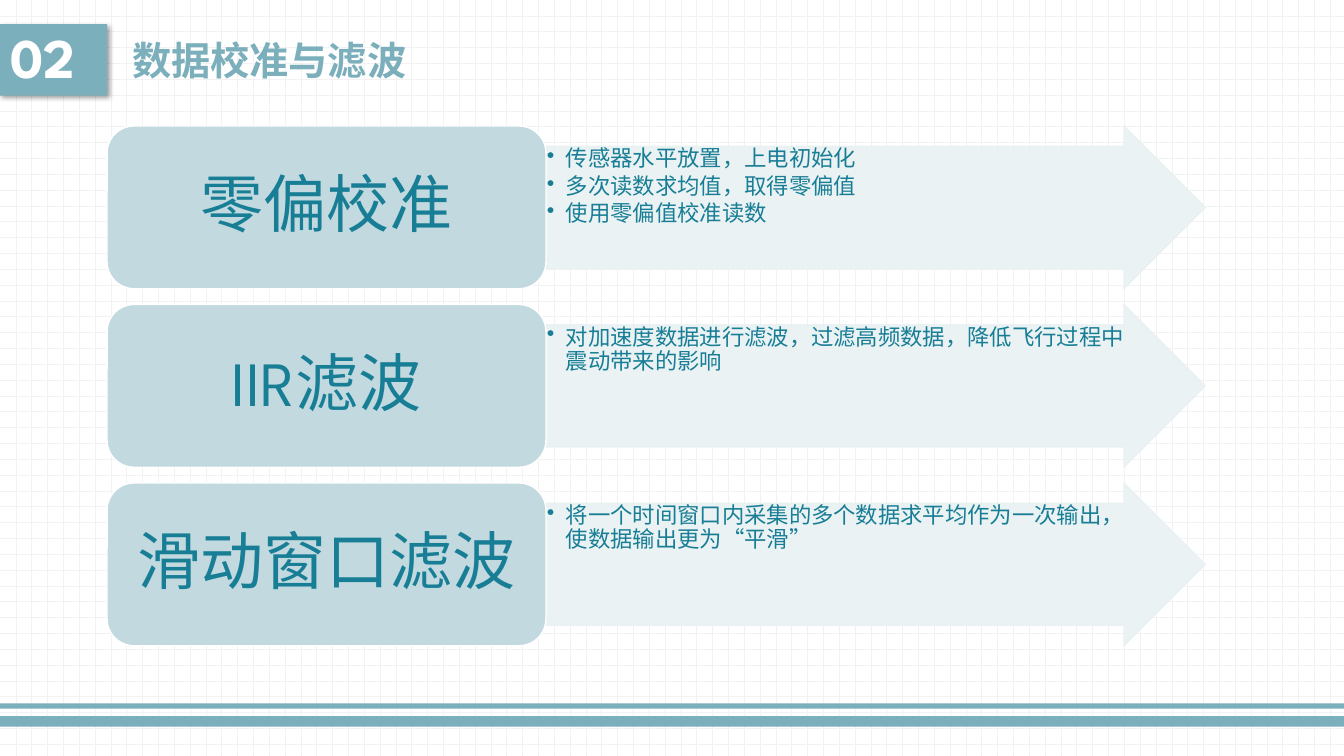
from lxml import etree
from pptx import Presentation
from pptx.dml.color import RGBColor
from pptx.enum.dml import MSO_PATTERN
from pptx.enum.shapes import MSO_SHAPE
from pptx.enum.text import MSO_ANCHOR, PP_ALIGN
from pptx.oxml.ns import qn
from pptx.util import Pt

RECT = MSO_SHAPE.RECTANGLE
ROUND_RECT = MSO_SHAPE.ROUNDED_RECTANGLE
RIGHT_ARROW = MSO_SHAPE.RIGHT_ARROW
DOT_GRID = MSO_PATTERN.DOTTED_GRID
TOP, MIDDLE = MSO_ANCHOR.TOP, MSO_ANCHOR.MIDDLE
LEFT, CENTER = PP_ALIGN.LEFT, PP_ALIGN.CENTER

WHITE = RGBColor(0xFF, 0xFF, 0xFF)
GRID = RGBColor(0xF2, 0xF2, 0xF2)
TEAL = RGBColor(0x7C, 0xAF, 0xBC)
DEEP_TEAL = RGBColor(0x18, 0x7E, 0x95)
BOX = RGBColor(0xC1, 0xD9, 0xDF)
ARROW = RGBColor(0xE9, 0xF1, 0xF3)

PX = 9525
METHODS = [
    ("零偏校准", ["传感器水平放置，上电初始化", "多次读数求均值，取得零偏值", "使用零偏值校准读数"]),
    ("IIR滤波", ["对加速度数据进行滤波，过滤高频数据，降低飞行过程中震动带来的影响"]),
    ("滑动窗口滤波", ["将一个时间窗口内采集的多个数据求平均作为一次输出，使数据输出更为“平滑”"]),
]
ROW_TOP, ROW_HEIGHT, ROW_PITCH = 120, 155, 170


class Deck:
    font = "League Spartan"

    def __init__(self, width, height):
        self.prs = Presentation()
        self.prs.slide_width, self.prs.slide_height = width * PX, height * PX
        self.slide = self.prs.slides.add_slide(self.prs.slide_layouts[6])

    def background(self, fore, back):
        fill = self.slide.background.fill
        fill.patterned()
        fill.pattern = DOT_GRID
        fill.fore_color.rgb = fore
        fill.back_color.rgb = back

    def shape(self, kind, box, fill, line=None):
        sp = self.slide.shapes.add_shape(kind, *(n * PX for n in box))
        sp.shadow.inherit = False
        sp.fill.solid()
        sp.fill.fore_color.rgb = fill
        if line is None:
            sp.line.fill.background()
        else:
            sp.line.color.rgb = line
            sp.line.width = Pt(1)
        return sp

    def text_box(self, box):
        return self.slide.shapes.add_textbox(*(n * PX for n in box))

    def fade(self, sp, percent):
        for color in sp._element.spPr.iter(qn("a:srgbClr")):
            etree.SubElement(color, qn("a:alpha"), val=str(percent * 1000))

    def drop_shadow(self, sp):
        effects = sp._element.spPr.find(qn("a:effectLst"))
        shadow = etree.SubElement(effects, qn("a:outerShdw"), blurRad=str(5 * PX),
                                  dist=str(3 * PX), dir="2700000", algn="tl")
        color = etree.SubElement(shadow, qn("a:srgbClr"), val="000000")
        etree.SubElement(color, qn("a:alpha"), val="40000")

    def bullet(self, p, indent):
        pPr = p._p.get_or_add_pPr()
        pPr.set("marL", str(indent * PX))
        pPr.set("indent", str(-indent * PX))
        etree.SubElement(pPr, qn("a:buChar"), char="•")

    def text(self, sp, lines, size, color, bold=False, align=LEFT, anchor=MIDDLE,
             inset=(10, 5), spacing=0.9, indent=0):
        tf = sp.text_frame
        tf.word_wrap = True
        tf.vertical_anchor = anchor
        tf.margin_left = tf.margin_right = inset[0] * PX
        tf.margin_top = tf.margin_bottom = inset[1] * PX
        for i, line in enumerate(lines):
            p = tf.add_paragraph() if i else tf.paragraphs[0]
            if indent:
                self.bullet(p, indent)
            p.alignment = align
            p.line_spacing = spacing
            p.space_after = Pt(2.5 if indent else 0)
            r = p.add_run()
            r.text = line
            r.font.name = self.font
            r.font.size = Pt(size)
            r.font.bold = bold
            r.font.color.rgb = color


def main():
    deck = Deck(1280, 720)
    deck.background(GRID, WHITE)
    for top, height in ((682, 10), (670, 5)):
        deck.shape(RECT, (0, top, 1280, height), TEAL)

    number = deck.shape(RECT, (0, 23, 102, 68), TEAL)
    deck.drop_shadow(number)
    deck.text(number, ["02"], 40, WHITE, bold=True)
    title = deck.text_box((116, 23, 676, 68))
    deck.text(title, ["数据校准与滤波"], 28, TEAL, bold=True, spacing=1.0)

    for i, (name, points) in enumerate(METHODS):
        top = ROW_TOP + i * ROW_PITCH
        arrow = deck.shape(RIGHT_ARROW, (520, top, 628, ROW_HEIGHT), ARROW, ARROW)
        arrow.adjustments[0] = 0.75
        arrow.adjustments[1] = 0.5
        deck.fade(arrow, 90)
        deck.text(arrow, points, 16, DEEP_TEAL, anchor=TOP, inset=(1, 1), indent=18)
        label = deck.shape(ROUND_RECT, (102, top, 418, ROW_HEIGHT), BOX, WHITE)
        deck.text(label, [name], 45, DEEP_TEAL, align=CENTER, inset=(18, 9))

    deck.prs.save("out.pptx")


if __name__ == "__main__":
    main()
